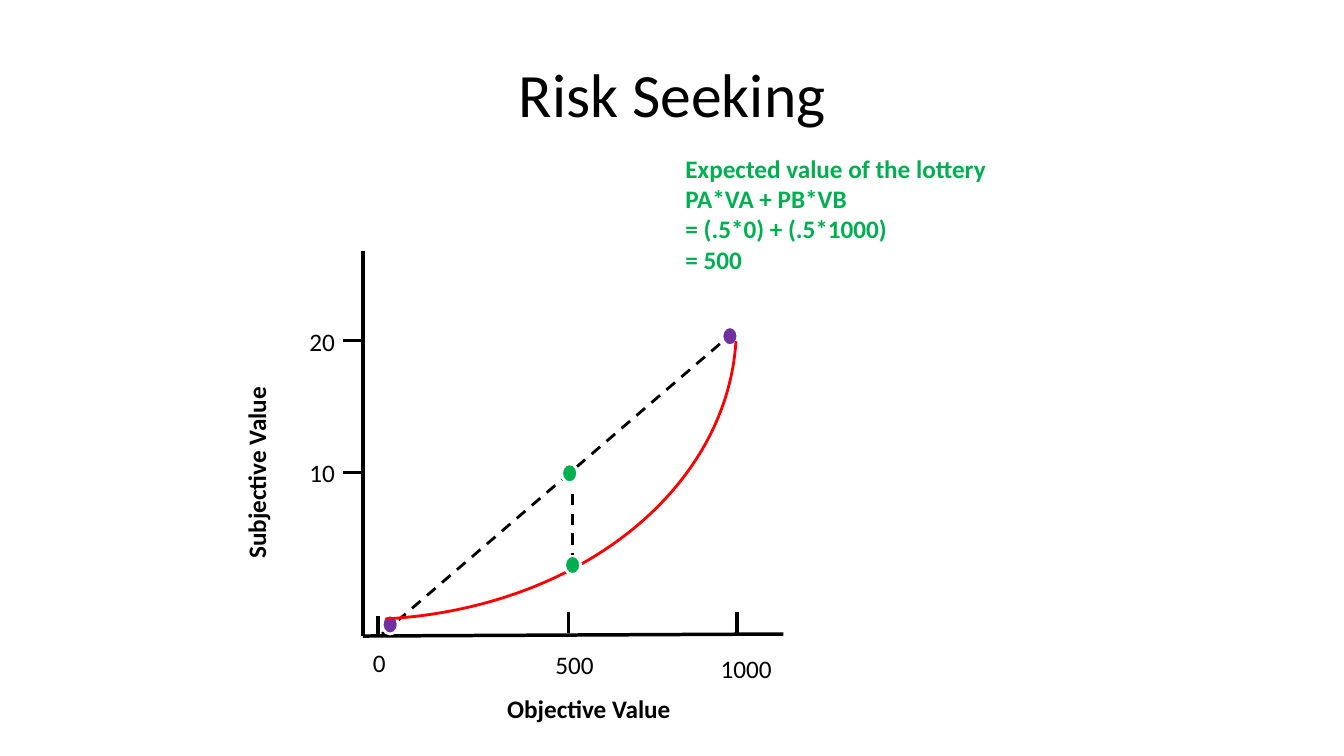
from lxml import etree
from pptx import Presentation
from pptx import util as u
from pptx.dml.color import RGBColor
from pptx.enum import dml, shapes, text
from pptx.oxml import ns

HUES = {"ink": "000000", "paper": "FFFFFF", "end": "7030A0",
        "mean": "00B050", "curve": "FF0000"}
FONT = "Calibri"


def hue(name):
    """Return the named colour."""
    return RGBColor.from_string(HUES[name])


def box(*sides):
    """Turn numbers into inches."""
    return [u.Inches(side) for side in sides]


def write(slide, words, at, size=18, color="ink", bold=False,
          align="LEFT", anchor="TOP", turn=0):
    """Add a text box with one paragraph per line of words."""
    label = slide.shapes.add_textbox(*box(*at))
    label.rotation = turn
    frame = label.text_frame
    frame.word_wrap = True
    frame.vertical_anchor = getattr(text.MSO_ANCHOR, anchor)
    frame.text = words
    for para in frame.paragraphs:
        para.alignment = getattr(text.PP_ALIGN, align)
        font = para.runs[0].font
        font.name, font.size, font.bold = FONT, u.Pt(size), bold
        font.color.rgb = hue(color)


def rule(slide, start, end, width=2.5, dash=False):
    """Draw a straight black line, dashed if asked."""
    line = slide.shapes.add_connector(
        shapes.MSO_CONNECTOR.STRAIGHT, *box(*start, *end))
    line.line.color.rgb = hue("ink")
    line.line.width = u.Pt(width)
    if dash:
        line.line.dash_style = dml.MSO_LINE.DASH
    etree.SubElement(line._element.spPr, ns.qn("a:effectLst"))


def dot(slide, left, top, color):
    """Draw a white-rimmed point."""
    mark = slide.shapes.add_shape(
        shapes.MSO_SHAPE.OVAL, *box(left, top, 0.16, 0.19))
    mark.shadow.inherit = False
    mark.fill.solid()
    mark.fill.fore_color.rgb = hue(color)
    mark.line.color.rgb = hue("paper")
    mark.line.width = u.Pt(2)


def curve(slide):
    """Draw the convex value curve."""
    arc = slide.shapes.add_shape(
        shapes.MSO_SHAPE.ARC, *box(0.49, -0.67, 5.95, 7.68))
    arc.shadow.inherit = False
    arc.rotation = 92.7
    arc.adjustments[0] = 162.31
    arc.adjustments[1] = 210.27
    arc.fill.background()
    arc.line.color.rgb = hue("curve")
    arc.line.width = u.Pt(2)


def axes(slide):
    """Draw both axes with ticks, numbers and names."""
    rule(slide, (3.6, 2.49), (3.6, 6.31))
    rule(slide, (7.77, 6.29), (3.6, 6.31))
    for x, top in ((3.75, 6.11), (5.64, 6.07), (7.31, 6.07)):
        rule(slide, (x, top), (x, top + 0.21))
    for y in (4.69, 3.38):
        rule(slide, (3.4, y), (3.6, y))
    for words, left, top, width in (
            ("0", 3.6, 6.37, 0.55), ("500", 5.41, 6.39, 0.94),
            ("1000", 7.05, 6.43, 1.43), ("10", 2.97, 4.49, 0.55),
            ("20", 2.97, 3.19, 0.55)):
        write(slide, words, (left, top, width, 0.4))
    write(slide, "Objective Value", (3.83, 6.83, 4.02, 0.4),
          bold=True, align="CENTER")
    write(slide, "Subjective Value", (0.02, 4.49, 5.04, 0.4),
          bold=True, align="CENTER", turn=270)


def main():
    """Build and save the slide."""
    deck = Presentation()
    deck.slide_width, deck.slide_height = box(13.33, 7.5)
    slide = deck.slides.add_slide(deck.slide_layouts[6])
    write(slide, "Risk Seeking", (0.67, 0.3, 12, 1.25), size=44,
          align="CENTER", anchor="MIDDLE")
    axes(slide)
    rule(slide, (3.79, 6.29), (7.27, 3.3), width=2, dash=True)
    dot(slide, 3.79, 6.1, "end")
    dot(slide, 7.16, 3.24, "end")
    write(slide, "Expected value of the lottery\nPA*VA + PB*VB\n"
          "= (.5*0) + (.5*1000)\n= 500", (6.7, 1.47, 3.98, 1.62),
          color="mean", bold=True)
    curve(slide)
    dot(slide, 5.57, 4.6, "mean")
    dot(slide, 5.6, 5.51, "mean")
    rule(slide, (5.68, 4.9), (5.68, 5.51), width=2, dash=True)
    deck.save("out.pptx")


if __name__ == "__main__":
    main()
